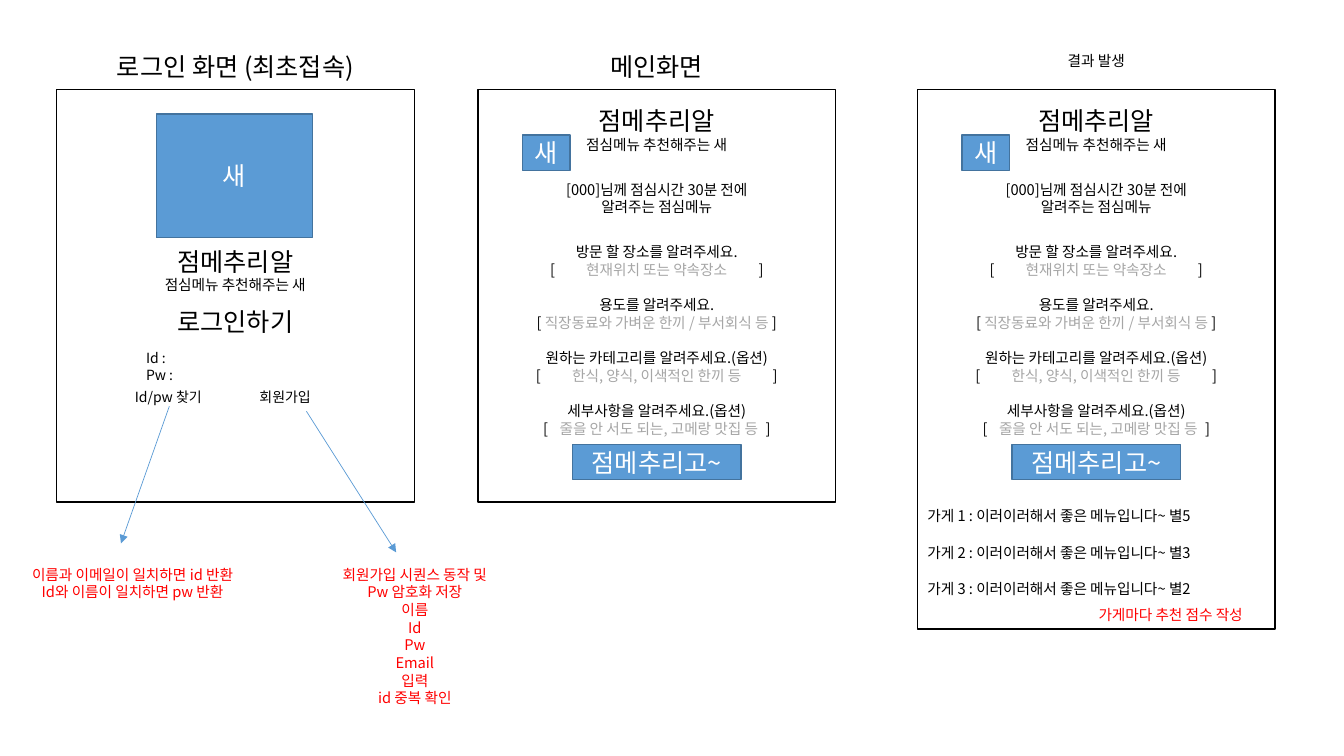
from dataclasses import dataclass

from lxml.etree import SubElement
from pptx import Presentation
from pptx.dml.color import RGBColor
from pptx.enum.shapes import MSO_CONNECTOR, MSO_SHAPE
from pptx.enum.text import MSO_ANCHOR, MSO_AUTO_SIZE, PP_ALIGN
from pptx.oxml.ns import qn
from pptx.util import Inches, Pt


@dataclass(frozen=True)
class Theme:
    font: str = "Noto Sans CJK KR"
    ink: str = "000000"
    hint: str = "A6A6A6"
    note: str = "FF0000"
    white: str = "FFFFFF"
    fill: str = "5B9BD5"
    edge: str = "43739E"
    large: float = 18
    body: float = 10.5
    small: float = 10
    leading: float = 1.2


THEME = Theme()

# Grid: ten columns and ten rows to the inch
SLIDE_COLUMNS, SLIDE_ROWS = 133.33, 75
LOGIN, MAIN, RESULT = 5.6, 47.4, 91  # left column of each screen
SCREEN_WIDTH, SCREEN_TOP, HEADING_TOP = 35.5, 8.9, 4.6

# Question, hint, extra points between the hint and its left and right brackets
QUESTIONS = [
    ("방문 할 장소를 알려주세요.", "현재위치 또는 약속장소", 20, 20),
    ("용도를 알려주세요.", "직장동료와 가벼운 한끼 / 부서회식 등", 0, 0),
    ("원하는 카테고리를 알려주세요.(옵션)", "한식, 양식, 이색적인 한끼 등", 20, 20),
    ("세부사항을 알려주세요.(옵션)", "줄을 안 서도 되는, 고메랑 맛집 등", 6, 3),
]
LINK_GAP = 39  # extra points between the two links of the login form


def grid(*cells):
    return [Inches(cell / 10) for cell in cells]


def place(shape, area):
    shape.left, shape.top, shape.width, shape.height = grid(*area)


def write(frame, text, size=THEME.body, color=THEME.ink, align=PP_ALIGN.CENTER,
          before=0, first=False):
    """Add one paragraph; text is a string or (text, color, letter spacing) spans."""
    para = frame.paragraphs[0] if first else frame.add_paragraph()
    para.alignment = align
    para.line_spacing = Pt(size * THEME.leading)
    para.space_before, para.space_after = Pt(before), Pt(0)
    properties = para._p.get_or_add_pPr()
    properties.set("marL", "0")
    properties.set("indent", "0")
    SubElement(properties, qn("a:buNone"))
    for words, tint, spacing in [(text, color, 0)] if isinstance(text, str) else text:
        span = para.add_run()
        span.text = words
        span.font.size = Pt(size)
        span.font.name = THEME.font
        span.font.color.rgb = RGBColor.from_string(tint)
        run_format = span._r.get_or_add_rPr()
        SubElement(run_format, qn("a:ea"), typeface=THEME.font)
        if spacing:
            run_format.set("spc", str(spacing * 100))


def prepare(frame, anchor=MSO_ANCHOR.TOP):
    frame.word_wrap = True
    frame.auto_size = MSO_AUTO_SIZE.NONE
    frame.vertical_anchor = anchor
    return frame


def add_text(page, area, *lines, **style):
    frame = prepare(page.shapes.add_textbox(*grid(*area)).text_frame)
    for index, line in enumerate(lines):
        write(frame, line, first=index == 0, **style)
    return frame


def fill_placeholder(holder, area, lines, gap=0, **style):
    place(holder, area)
    frame = prepare(holder.text_frame)
    for index, line in enumerate(lines):
        write(frame, line, first=index == 0, before=gap if index else 0, **style)


def add_box(page, area, label="", fill=None, edge=THEME.ink):
    box = page.shapes.add_shape(MSO_SHAPE.RECTANGLE, *grid(*area))
    box.shadow.inherit = False
    box.line.color.rgb = RGBColor.from_string(edge)
    box.line.width = Pt(1)
    if fill:
        box.fill.solid()
        box.fill.fore_color.rgb = RGBColor.from_string(fill)
    else:
        box.fill.background()
    if label:
        frame = prepare(box.text_frame, MSO_ANCHOR.MIDDLE)
        write(frame, label, THEME.large, THEME.white, first=True)


def add_filled_box(page, area, label):
    add_box(page, area, label, THEME.fill, THEME.edge)


def add_arrow(page, start, end):
    arrow = page.shapes.add_connector(MSO_CONNECTOR.STRAIGHT, *grid(*start, *end))
    arrow.line.color.rgb = RGBColor.from_string(THEME.fill)
    arrow.line.width = Pt(0.5)
    SubElement(arrow.line._get_or_add_ln(), qn("a:tailEnd"), type="triangle")
    SubElement(arrow._element.spPr, qn("a:effectLst"))


def add_brand(page, left, top):
    frame = add_text(page, (left, top, SCREEN_WIDTH, 5.8), "점메추리알", size=THEME.large)
    write(frame, "점심메뉴 추천해주는 새")


def add_form(page, left):
    frame = prepare(page.shapes.add_textbox(*grid(left, 23.6, SCREEN_WIDTH, 24)).text_frame)
    for index, (question, hint, left_gap, right_gap) in enumerate(QUESTIONS):
        gap = THEME.body * THEME.leading if index else 0
        write(frame, question, first=index == 0, before=gap)
        write(frame, [("[", THEME.ink, 0), (" ", THEME.ink, left_gap),
                      (hint, THEME.hint, 0), (" ", THEME.hint, right_gap),
                      ("]", THEME.ink, 0)])


def add_menu_screen(page, left, height):
    add_box(page, (left, SCREEN_TOP, SCREEN_WIDTH, height))
    add_brand(page, left, 10)
    add_filled_box(page, (left + 4.45, 13.4, 4.7, 3.5), "새")
    add_text(page, (left, 17.4, SCREEN_WIDTH, 4.5),
             "[000]님께 점심시간 30분 전에", "알려주는 점심메뉴")
    add_form(page, left)
    add_filled_box(page, (left + 9.4, 44.1, 16.7, 3.5), "점메추리고~")


def add_login_screen(page):
    add_box(page, (LOGIN, SCREEN_TOP, SCREEN_WIDTH, 40.9))
    add_filled_box(page, (15.5, 11.3, 15.5, 12.3), "새")
    add_brand(page, LOGIN, 23.9)
    add_text(page, (LOGIN, 29.9, SCREEN_WIDTH, 4), "로그인하기", size=THEME.large)
    fields = {"size": THEME.small, "align": PP_ALIGN.LEFT}
    add_text(page, (13.5, 34.2, 19.9, 4.4), "Id :", "Pw :", **fields)
    links = [("Id/pw 찾기", THEME.ink, 0), (" ", THEME.ink, LINK_GAP),
             ("회원가입", THEME.ink, 0)]
    add_text(page, (12.4, 38.1, 22.1, 2.7), links, **fields)


def main():
    deck = Presentation()
    deck.slide_width, deck.slide_height = grid(SLIDE_COLUMNS, SLIDE_ROWS)
    page = deck.slides.add_slide(deck.slide_layouts[1])
    title, stores = page.placeholders

    # Screens
    add_menu_screen(page, MAIN, 40.9)
    add_login_screen(page)
    add_menu_screen(page, RESULT, 53.5)

    # Headings
    fill_placeholder(title, (LOGIN, HEADING_TOP, SCREEN_WIDTH, 4),
                     ["로그인 화면 (최초접속)"], size=THEME.large)
    add_text(page, (MAIN, HEADING_TOP, SCREEN_WIDTH, 4), "메인화면", size=THEME.large)
    add_text(page, (RESULT, HEADING_TOP, SCREEN_WIDTH, 2.8), "결과 발생")

    # Recommended stores
    ratings = [5, 3, 2]
    fill_placeholder(stores, (RESULT, 49.8, SCREEN_WIDTH, 10),
                     [f"가게 {number} : 이러이러해서 좋은 메뉴입니다~ 별{stars}"
                      for number, stars in enumerate(ratings, 1)],
                     gap=13.4, align=PP_ALIGN.LEFT)

    # Notes and arrows
    add_text(page, (108, 59.6, 22.9, 2.8), "가게마다 추천 점수 작성",
             color=THEME.note, align=PP_ALIGN.LEFT)
    add_arrow(page, (30.4, 40.8), (39.3, 54.8))
    add_arrow(page, (16.8, 40.3), (12, 53.9))
    add_text(page, (29.7, 55.6, 22.9, 15.1), "회원가입 시퀀스 동작 및", "Pw 암호화 저장",
             "이름", "Id", "Pw", "Email", "입력", "id 중복 확인", color=THEME.note)
    add_text(page, (0.9, 55.6, 24.5, 4.5), "이름과 이메일이 일치하면 id 반환",
             "Id와 이름이 일치하면 pw 반환", color=THEME.note)

    deck.save("out.pptx")


if __name__ == "__main__":
    main()
